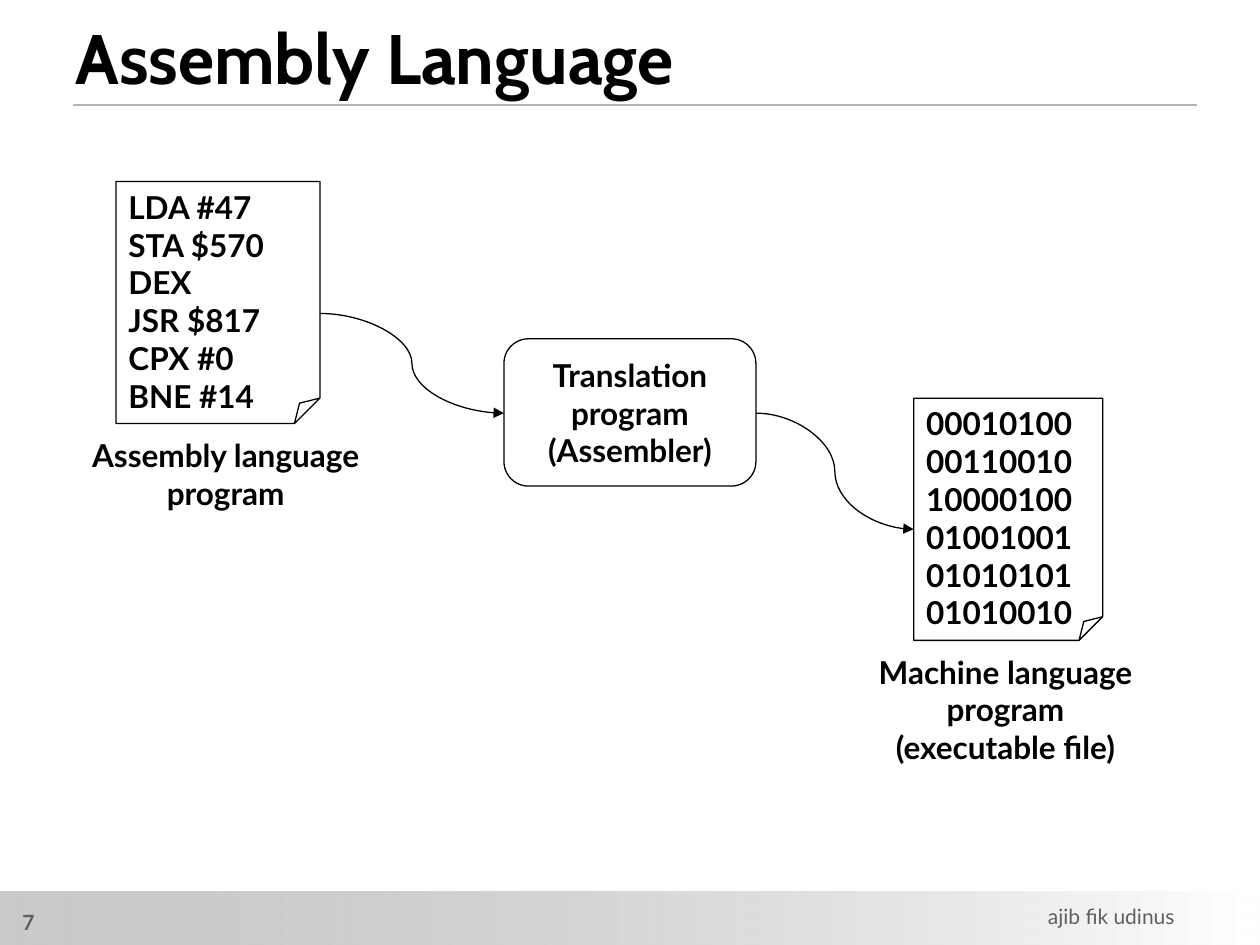
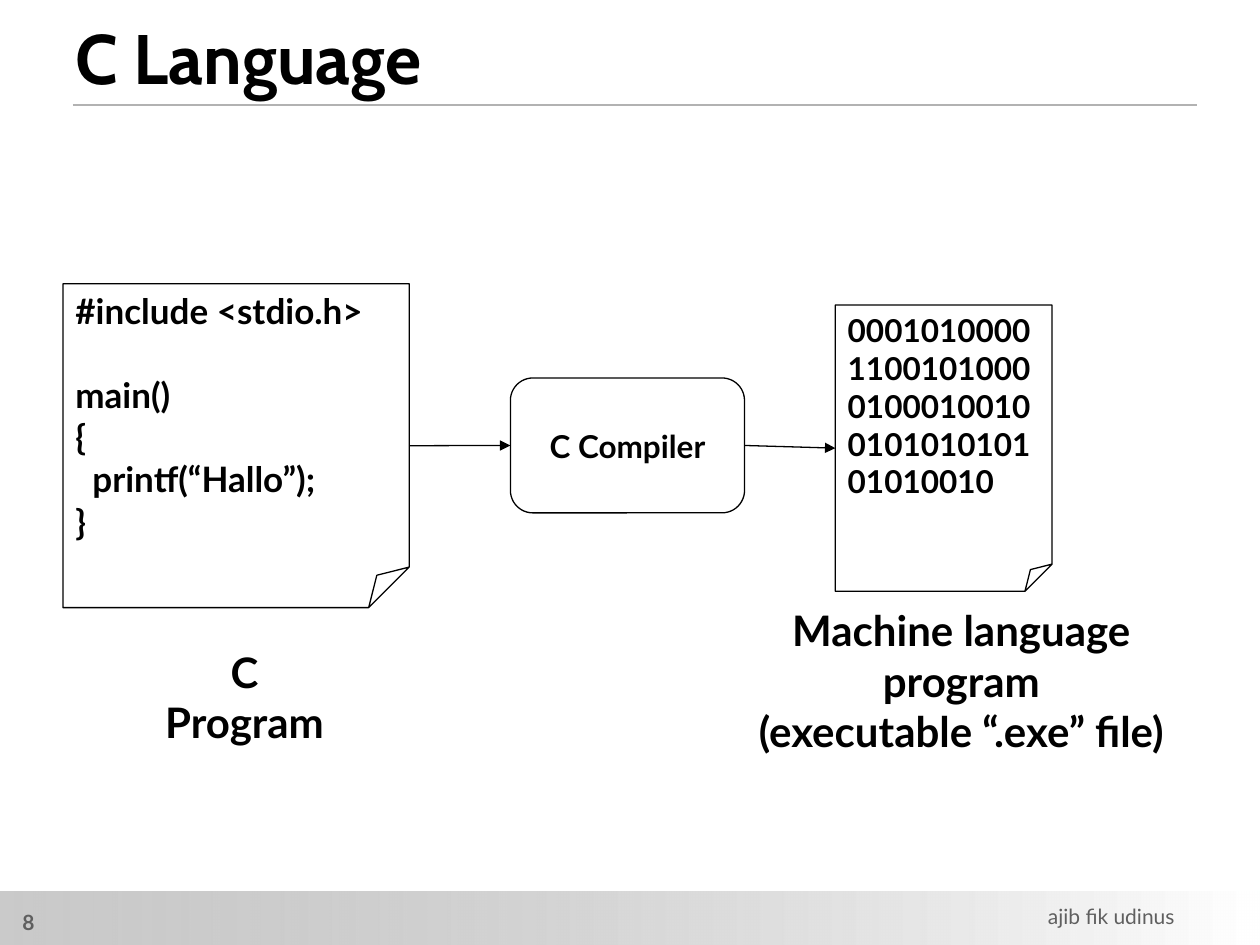
from lxml.etree import SubElement
from pptx import Presentation
from pptx.dml.color import RGBColor
from pptx.enum.shapes import MSO_CONNECTOR, MSO_SHAPE
from pptx.enum.text import MSO_ANCHOR, PP_ALIGN
from pptx.oxml.ns import qn
from pptx.util import Cm, Pt

INK, GREY, RULE, BAND = "000000", "5F5F5F", "B2B2B2", "969696"
HEAD, BODY = "Cabin", "Lato"
FOOT = "ajib fik udinus"
BITS = "000101000011001010000100010010010101010101010010"
FOLD, ROUND = MSO_SHAPE.FOLDED_CORNER, MSO_SHAPE.ROUNDED_RECTANGLE

SLIDES = [
    {
        "title": "Assembly Language",
        "number": "7",
        "nodes": [
            (FOLD, (2.34, 3.66, 4.11, 4.88), 18,
             ["LDA #47", "STA $570", "DEX", "JSR $817", "CPX #0", "BNE #14"]),
            (ROUND, (10.16, 6.83, 5.08, 2.97), 18,
             ["Translation", "program", "(Assembler)"]),
            (FOLD, (18.42, 8.03, 3.81, 4.88), 18, [BITS]),
        ],
        "labels": [
            (4.55, 8.66, 6.6, 18, ["Assembly language program"]),
            (20.27, 13.03, 6.6, 18,
             ["Machine language program", "(executable file)"]),
        ],
        "curves": [(6.45, 6.32, 10.16, 8.33), (15.24, 8.33, 18.42, 10.67)],
        "joins": [],
    },
    {
        "title": "C Language",
        "number": "8",
        "nodes": [
            (FOLD, (1.27, 5.72, 6.98, 6.53), 20,
             ["#include <stdio.h>", "", "main()", "{", "  printf(“Hallo”);", "}"]),
            (ROUND, (10.29, 7.62, 4.72, 2.72), 18, ["C Compiler"]),
            (FOLD, (16.84, 6.15, 4.37, 5.77), 18, [BITS]),
        ],
        "labels": [
            (4.93, 12.9, 3.8, 24, ["C Program"]),
            (19.38, 12.07, 8.9, 24,
             ["Machine language program", "(executable “.exe” file)"]),
        ],
        "curves": [],
        "joins": [(0, 1), (1, 2)],
    },
]


def rgb(code):
    return RGBColor.from_string(code)


def cms(nums):
    return [Cm(n) for n in nums]


def write(shape, lines, size, align=PP_ALIGN.LEFT, anchor=MSO_ANCHOR.TOP,
          color=INK, bold=True, face=BODY):
    frame = shape.text_frame
    frame.word_wrap = True
    frame.vertical_anchor = anchor
    frame.text = "\n".join(line for line in lines if line)
    for para in frame.paragraphs:
        para.alignment = align
        for run in para.runs:
            font = run.font
            font.name, font.size, font.bold = face, Pt(size), bold
            font.color.rgb = rgb(color)
    if "" in lines:
        frame.paragraphs[lines.index("")].space_before = Pt(size * 1.2)


def text(slide, box, *args, **style):
    write(slide.shapes.add_textbox(*cms(box)), *args, **style)


def link(slide, ends, kind=MSO_CONNECTOR.STRAIGHT, color=INK, width=0.75,
         arrow=True):
    line = slide.shapes.add_connector(kind, *cms(ends))
    line.line.color.rgb = rgb(color)
    line.line.width = Pt(width)
    if arrow:
        edge = line._element.spPr.find(qn("a:ln"))
        SubElement(edge, qn("a:tailEnd"), type="triangle")
    SubElement(line._element.spPr, qn("a:effectLst"))
    return line


def frame(slide, title, number):
    head = slide.shapes.title
    head.left, head.top, head.width, head.height = cms((1.27, 0, 23.29, 2.11))
    write(head, [title], 40, anchor=MSO_ANCHOR.BOTTOM, face=HEAD)
    band = slide.shapes.add_shape(MSO_SHAPE.RECTANGLE, *cms((0, 17.98, 25.4, 1.07)))
    band.shadow.inherit = False
    band.line.fill.background()
    band.fill.gradient()
    band.fill.gradient_angle = 0
    for stop, color, place in zip(band.fill.gradient_stops, (BAND, "FFFFFF"), (0, 1)):
        stop.color.rgb = rgb(color)
        stop.position = place
    tint = next(band._element.iter(qn("a:srgbClr")))
    SubElement(tint, qn("a:alpha"), val="50000")
    link(slide, (1.47, 2.11, 24.13, 2.11), color=RULE, width=1, arrow=False)
    text(slide, (0.2, 18.21, 5.92, 0.64), [number], 12, color=GREY)
    text(slide, (15.88, 17.78, 8.05, 1.07), [FOOT], 12, align=PP_ALIGN.RIGHT,
         anchor=MSO_ANCHOR.BOTTOM, color=GREY, bold=False)


def node(slide, kind, box, size, lines):
    shape = slide.shapes.add_shape(kind, *cms(box))
    shape.shadow.inherit = False
    shape.fill.background()
    shape.line.color.rgb = rgb(INK)
    shape.line.width = Pt(0.75)
    if kind == FOLD:
        guides = next(shape._element.iter(qn("a:avLst")))
        SubElement(guides, qn("a:gd"), name="adj", fmla="val 12500")
        write(shape, lines, size)
    else:
        write(shape, lines, size, PP_ALIGN.CENTER, MSO_ANCHOR.MIDDLE)
    return shape


def main():
    deck = Presentation()
    deck.slide_width, deck.slide_height = Cm(25.4), Cm(19.05)
    for page in SLIDES:
        slide = deck.slides.add_slide(deck.slide_layouts[5])
        frame(slide, page["title"], page["number"])
        nodes = [node(slide, *item) for item in page["nodes"]]
        for mid, top, width, size, lines in page["labels"]:
            text(slide, (mid - width / 2, top, width, 1), lines, size,
                 align=PP_ALIGN.CENTER)
        for ends in page["curves"]:
            link(slide, ends, MSO_CONNECTOR.CURVE)
        for start, end in page["joins"]:
            line = link(slide, (0, 0, 1, 1))
            line.begin_connect(nodes[start], 3)
            line.end_connect(nodes[end], 1)
    deck.save("out.pptx")


if __name__ == "__main__":
    main()
